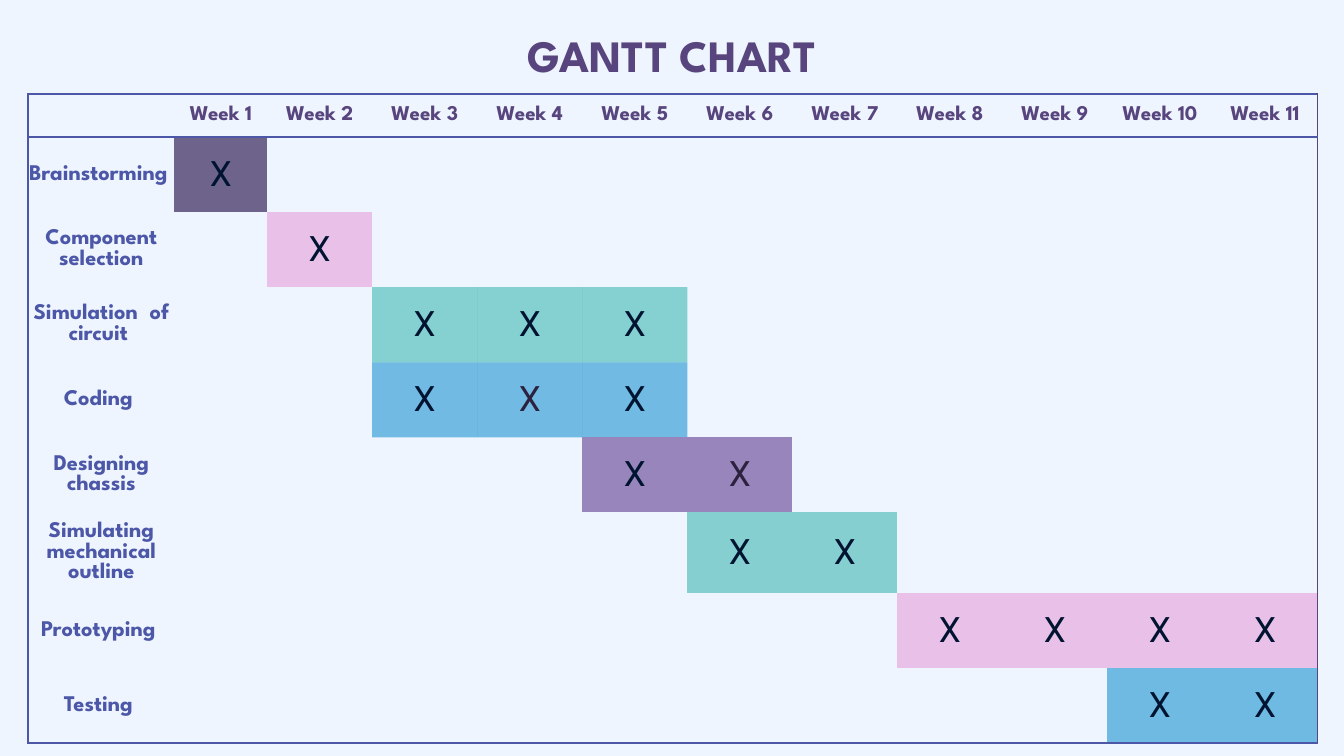
from lxml import etree
from pptx import Presentation
from pptx.dml.color import RGBColor
from pptx.enum import text
from pptx.oxml.ns import qn
from pptx.util import Inches, Pt

COLORS = {
    "background": "EEF5FF", "heading": "58457E", "task": "4C57A8",
    "mark": "001431", "soft mark": "2C223F", "grey": "6E648B",
    "pink": "E9C1E8", "green": "00A194", "blue": "0087CB",
    "purple": "9785BC", "teal": "85CFD0", "sky": "6EBAE3",
}
TITLE = "GANTT CHART"
WEEKS = 11
# task, first week, last week, bar colour, opacity in %, weeks with a softer mark
TASKS = [
    ("Brainstorming ", 1, 1, "grey", 44, ()),
    ("Component selection", 2, 2, "pink", 100, ()),
    ("Simulation  of circuit ", 3, 5, "green", 44, ()),
    ("Coding ", 3, 5, "blue", 53, (4,)),
    ("Designing chassis", 5, 6, "purple", 100, (6,)),
    ("Simulating mechanical outline", 6, 7, "teal", 100, ()),
    ("Prototyping ", 8, 11, "pink", 100, ()),
    ("Testing ", 10, 11, "sky", 100, ()),
]
MERGED_TASKS = range(5, 9)  # weeks 2 and 3 share one cell in these rows
COLUMN_WIDTHS = [1.45, 0.92] + [1.042] * (WEEKS - 1)
ROW_HEIGHTS = [0.43] + [0.745] * len(TASKS)


def rgb(name):
    return RGBColor.from_string(COLORS[name])


def write(frame, words, size, color, font="League Spartan", bold=True):
    frame.word_wrap = True
    paragraph = frame.paragraphs[0]
    paragraph.text = words
    paragraph.alignment = text.PP_ALIGN.CENTER
    paragraph.font.name = font
    paragraph.font.size = Pt(size)
    paragraph.font.bold = bold
    paragraph.font.color.rgb = rgb(color)


def paint(cell, color, opacity=100):
    cell.fill.solid()
    cell.fill.fore_color.rgb = rgb(color)
    if opacity < 100:
        tint = cell._tc.tcPr.find(".//" + qn("a:srgbClr"))
        etree.SubElement(tint, qn("a:alpha")).set("val", str(opacity * 1000))


def set_borders(cell, edges):
    properties = cell._tc.get_or_add_tcPr()
    for position, side in enumerate("LRTB"):
        line = etree.Element(qn("a:ln" + side), w=str(Pt(1.5)))
        if side in edges:
            solid = etree.SubElement(line, qn("a:solidFill"))
            etree.SubElement(solid, qn("a:srgbClr")).set("val", COLORS[edges[side]])
        else:
            etree.SubElement(line, qn("a:noFill"))
        properties.insert(position, line)


prs = Presentation()
prs.slide_width, prs.slide_height = Inches(13.33), Inches(7.5)
slide = prs.slides.add_slide(prs.slide_layouts[6])
slide.background.fill.solid()
slide.background.fill.fore_color.rgb = rgb("background")

# Title
title = slide.shapes.add_textbox(Inches(1.04), Inches(0.12), Inches(11.25), Inches(0.84))
title.text_frame.vertical_anchor = text.MSO_ANCHOR.MIDDLE
write(title.text_frame, TITLE, 32, "heading")

# Schedule grid
schedule = slide.shapes.add_table(
    len(ROW_HEIGHTS), len(COLUMN_WIDTHS), Inches(0.28), Inches(0.93),
    Inches(sum(COLUMN_WIDTHS)), Inches(sum(ROW_HEIGHTS))).table
schedule.first_row = schedule.horz_banding = False
for column, width in zip(schedule.columns, COLUMN_WIDTHS):
    column.width = Inches(width)
for row, height in zip(schedule.rows, ROW_HEIGHTS):
    row.height = Inches(height)

# Frame around the grid and a rule under the week names
for row in range(len(ROW_HEIGHTS)):
    for week in range(WEEKS + 1):
        cell = schedule.cell(row, week)
        cell.margin_left = cell.margin_right = cell.margin_top = cell.margin_bottom = 0
        cell.vertical_anchor = text.MSO_ANCHOR.MIDDLE
        edges = {}
        if week == 0:
            edges["L"] = "task"
        if week == WEEKS:
            edges["R"] = "heading"
        if row <= 1:
            edges["T"] = "task"
        if row in (0, len(TASKS)):
            edges["B"] = "task"
        set_borders(cell, edges)
        if row == 0 or week == 0:
            paint(cell, "background")
        else:
            cell.fill.background()

# Week names
for week in range(1, WEEKS + 1):
    write(schedule.cell(0, week).text_frame, f"Week {week}", 15, "heading")

# Tasks and their bars
for row, (task, first, last, color, opacity, soft_weeks) in enumerate(TASKS, 1):
    write(schedule.cell(row, 0).text_frame, task, 16, "task")
    if row in MERGED_TASKS:
        schedule.cell(row, 2).merge(schedule.cell(row, 3))
    for week in range(first, last + 1):
        cell = schedule.cell(row, week)
        paint(cell, color, opacity)
        mark = "soft mark" if week in soft_weeks else "mark"
        write(cell.text_frame, "X", 25, mark, "Roboto", False)

prs.save("out.pptx")
